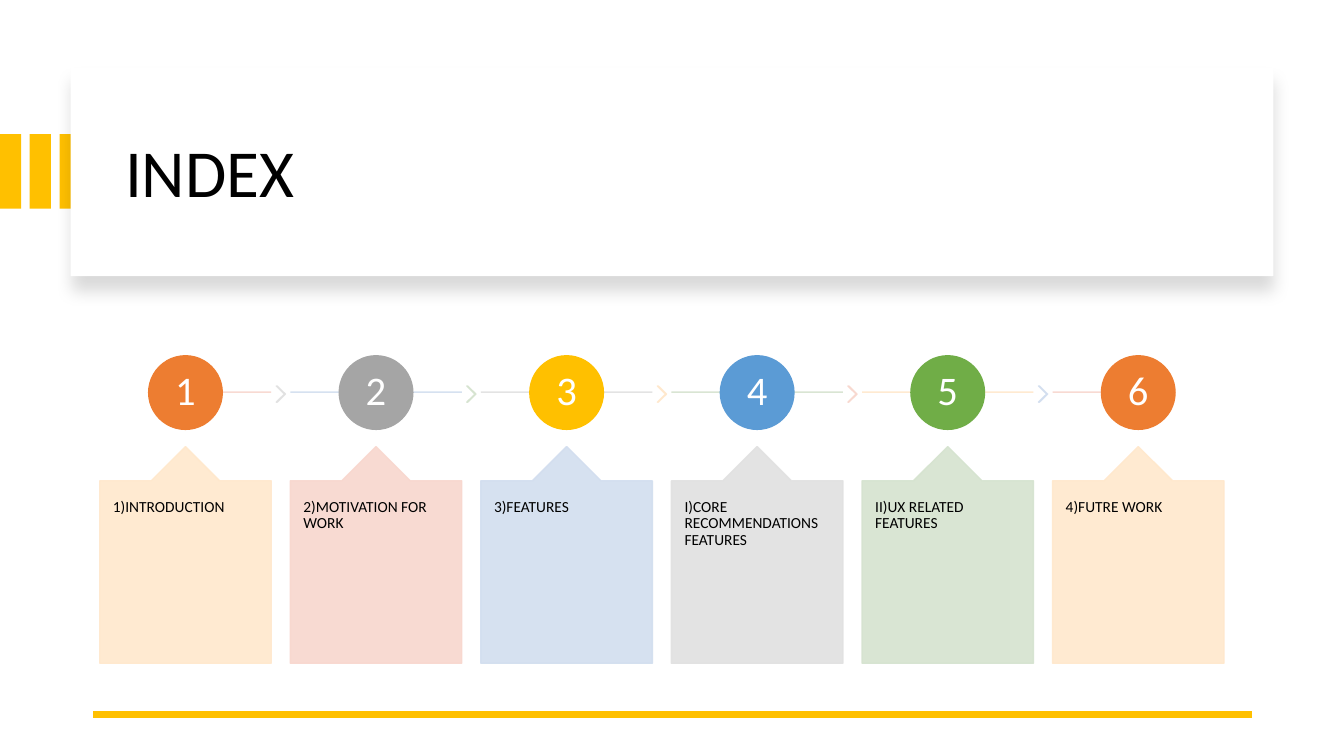
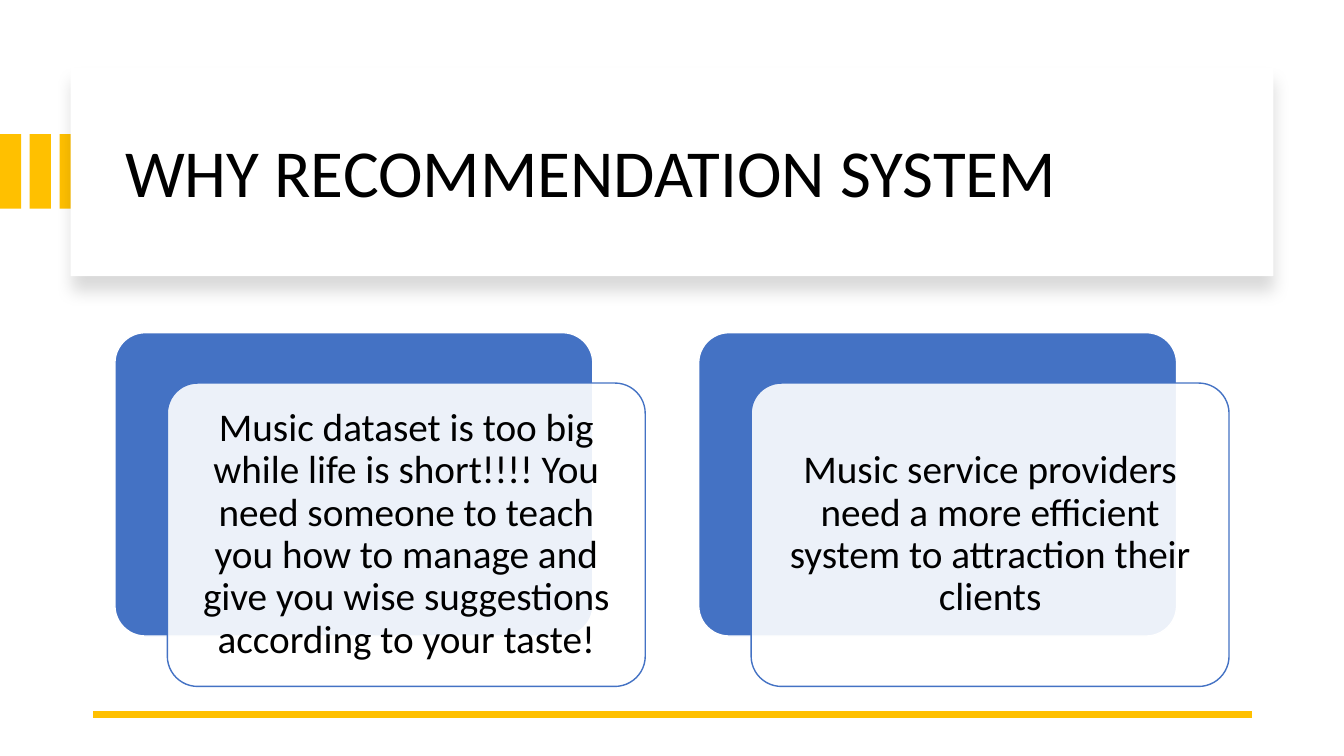
"""Build two slides: a six-step index and the reasons for a recommendation system."""
from lxml.etree import SubElement
from pptx import Presentation
from pptx.dml.color import RGBColor
from pptx.enum.shapes import MSO_CONNECTOR, MSO_SHAPE
from pptx.enum.text import MSO_ANCHOR, MSO_AUTO_SIZE, PP_ALIGN
from pptx.oxml.ns import qn
from pptx.util import Inches, Pt

FONT = "Calibri"
BLACK, WHITE, BLUE, GOLD = "000000", "FFFFFF", "4472C4", "FFC000"
ORANGE, GREY, SKY, GREEN = "ED7D31", "A5A5A5", "5B9BD5", "70AD47"
PEACH, PINK, ICE, SILVER, SAGE = "FFE8CC", "F8D7CE", "D2DEEF", "E1E1E1", "D5E3CF"

INDEX_TITLE = "INDEX"
INDEX_STEPS = [
    ("1)INTRODUCTION", ORANGE, PEACH, PINK, SILVER),
    ("2)MOTIVATION FOR WORK", GREY, PINK, ICE, SAGE),
    ("3)FEATURES", GOLD, ICE, SILVER, PEACH),
    ("I)CORE RECOMMENDATIONS FEATURES", SKY, SILVER, SAGE, PINK),
    ("II)UX RELATED FEATURES", GREEN, SAGE, PEACH, ICE),
    ("4)FUTRE WORK", ORANGE, PEACH, PINK, None),
]

REASONS_TITLE = "WHY RECOMMENDATION SYSTEM"
REASONS = [
    "Music dataset is too big while life is short!!!! You need someone to teach you "
    "how to manage and give you wise suggestions according to your taste!",
    "Music service providers need a more efficient system to attraction their clients",
]

TITLE_TEXT = {"size": 48, "color": BLACK, "align": PP_ALIGN.LEFT,
              "anchor": MSO_ANCHOR.MIDDLE, "margins": (0.1, 0.05)}
NUMBER_TEXT = {"size": 29, "color": WHITE, "align": PP_ALIGN.CENTER,
               "anchor": MSO_ANCHOR.MIDDLE, "margins": (0.03, 0.03)}
STEP_TEXT = {"size": 11, "color": BLACK, "align": PP_ALIGN.LEFT,
             "anchor": MSO_ANCHOR.TOP, "margins": (0.13, 0.18)}
REASON_TEXT = {"size": 28, "color": BLACK, "align": PP_ALIGN.CENTER,
               "anchor": MSO_ANCHOR.MIDDLE, "margins": (0.12, 0.12)}


def rgb(color):
    return RGBColor.from_string(color)


def set_opacity(properties, color, opacity):
    for element in properties.iter(qn("a:srgbClr")):
        if element.get("val") == color:
            SubElement(element, qn("a:alpha"), val=str(opacity * 1000))


def add_shape(slide, kind, box, fill, line=None, opacity=100, adjustments=()):
    shape = slide.shapes.add_shape(kind, *map(Inches, box))
    shape.shadow.inherit = False
    shape.fill.solid()
    shape.fill.fore_color.rgb = rgb(fill)
    if line:
        shape.line.color.rgb = rgb(line)
        shape.line.width = Pt(1)
    else:
        shape.line.fill.background()
    for position, value in enumerate(adjustments):
        shape.adjustments[position] = value
    if opacity < 100:
        set_opacity(shape.element.spPr, fill, opacity)
    return shape


def add_line(slide, start, end, color, width, opacity=100):
    connector = slide.shapes.add_connector(
        MSO_CONNECTOR.STRAIGHT, *map(Inches, (*start, *end)))
    connector.line.color.rgb = rgb(color)
    connector.line.width = Pt(width)
    properties = connector.element.spPr
    SubElement(properties, qn("a:effectLst"))
    if opacity < 100:
        set_opacity(properties, color, opacity)


def write(shape, text, style):
    horizontal, vertical = map(Inches, style["margins"])
    frame = shape.text_frame
    frame_format = {
        "word_wrap": True, "auto_size": MSO_AUTO_SIZE.NONE,
        "vertical_anchor": style["anchor"],
        "margin_left": horizontal, "margin_right": horizontal,
        "margin_top": vertical, "margin_bottom": vertical,
    }
    for name, value in frame_format.items():
        setattr(frame, name, value)
    paragraph = frame.paragraphs[0]
    paragraph.alignment = style["align"]
    paragraph.line_spacing = 0.9
    run = paragraph.add_run()
    run.text = text
    run.font.name = FONT
    run.font.size = Pt(style["size"])
    run.font.color.rgb = rgb(style["color"])


def add_title_card(slide):
    card = add_shape(slide, MSO_SHAPE.RECTANGLE, (0.7, 0.67, 11.93, 2.07), WHITE)
    effects = card.element.spPr.find(qn("a:effectLst"))
    shadow = SubElement(effects, qn("a:outerShdw"), blurRad=str(Pt(11)),
                        dist=str(Pt(10)), dir="5400000", algn="t", rotWithShape="0")
    color = SubElement(shadow, qn("a:srgbClr"), val=BLACK)
    SubElement(color, qn("a:alpha"), val="15000")


def add_slide(presentation, title_text):
    slide = presentation.slides.add_slide(presentation.slide_layouts[5])
    for stripe in range(3):
        add_shape(slide, MSO_SHAPE.RECTANGLE, (stripe * 0.295, 1.33, 0.21, 0.74), GOLD)
    add_title_card(slide)
    title = slide.shapes.title
    box = {"left": 1.14, "top": 0.89, "width": 11.13, "height": 1.7}
    for name, value in box.items():
        setattr(title, name, Inches(value))
    write(title, title_text, TITLE_TEXT)
    title.element.getparent().append(title.element)
    add_line(slide, (12.42, 7.09), (0.92, 7.09), GOLD, 4.5)
    return slide


def build_index(presentation):
    slide = add_slide(presentation, INDEX_TITLE)
    first_left, pitch, width, circle_size, line_y = 0.99, 1.89, 1.7, 0.73, 3.89
    last = len(INDEX_STEPS) - 1
    for index, (text, strong, pale, line_color, arrow_color) in enumerate(INDEX_STEPS):
        left = first_left + index * pitch
        center, right = left + width / 2, left + width
        line_start = center if index == 0 else left
        line_end = center if index == last else right
        add_line(slide, (line_start, line_y), (line_end, line_y), line_color, 1, 90)
        if arrow_color:
            add_shape(slide, MSO_SHAPE.CHEVRON, (right + 0.05, 3.83, 0.09, 0.16),
                      arrow_color, arrow_color, 90, (0.9,))
        circle = add_shape(slide, MSO_SHAPE.OVAL,
                           (center - circle_size / 2, 3.53, circle_size, circle_size),
                           strong, strong)
        write(circle, str(index + 1), NUMBER_TEXT)
        callout = add_shape(slide, MSO_SHAPE.UP_ARROW_CALLOUT, (left, 4.43, width, 2.15),
                            pale, pale, 90, (0.5, 0.2, 0.2, 1))
        write(callout, text, STEP_TEXT)


def build_reasons(presentation):
    slide = add_slide(presentation, REASONS_TITLE)
    top, width, height = 3.3, 4.74, 3.01
    for index, text in enumerate(REASONS):
        left = 1.14 + index * 5.79
        add_shape(slide, MSO_SHAPE.ROUNDED_RECTANGLE, (left, top, width, height),
                  BLUE, WHITE, adjustments=(0.1,))
        panel = add_shape(slide, MSO_SHAPE.ROUNDED_RECTANGLE,
                          (left + 0.52, top + 0.5, width, height),
                          WHITE, BLUE, 90, (0.1,))
        write(panel, text, REASON_TEXT)


def main():
    presentation = Presentation()
    presentation.slide_width = Inches(13.33)
    presentation.slide_height = Inches(7.5)
    build_index(presentation)
    build_reasons(presentation)
    presentation.save("out.pptx")


if __name__ == "__main__":
    main()
